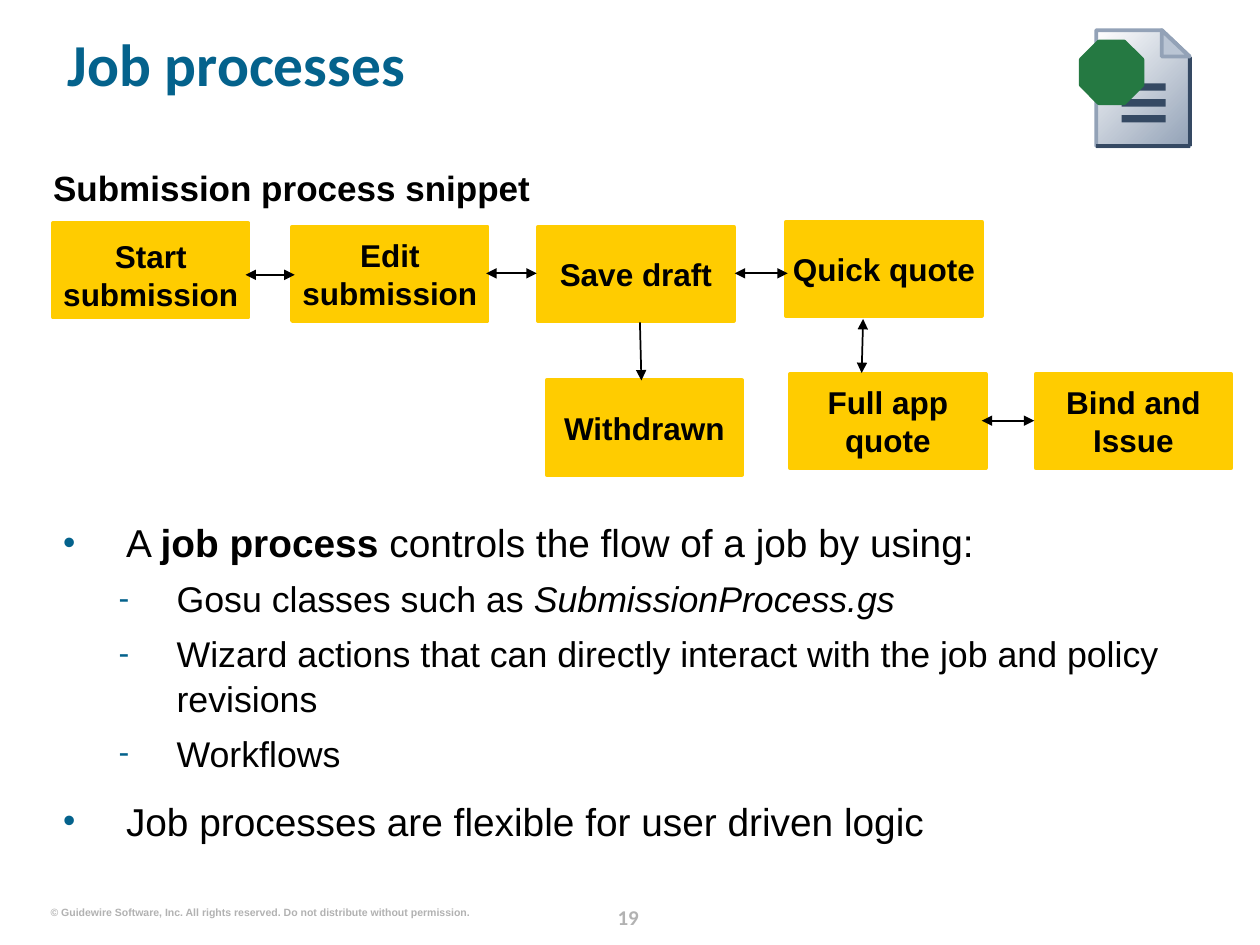
from lxml import etree
from pptx import Presentation
from pptx import util as u
from pptx.dml.color import RGBColor
from pptx.enum import shapes, text
from pptx.oxml import ns

BLUE = RGBColor(0x04, 0x62, 0x8C)
YELLOW = RGBColor(0xFF, 0xCC, 0x00)
BLACK = RGBColor(0x00, 0x00, 0x00)
WHITE = RGBColor(0xFF, 0xFF, 0xFF)
GREY = RGBColor(0xB2, 0xB2, 0xB2)
STEEL = RGBColor(0x93, 0xA2, 0xB7)
PALE = RGBColor(0xBA, 0xC5, 0xD4)
NAVY = RGBColor(0x35, 0x49, 0x63)
GREEN = RGBColor(0x25, 0x79, 0x42)

LEFT, CENTER = text.PP_ALIGN.LEFT, text.PP_ALIGN.CENTER
TOP, MIDDLE = text.MSO_ANCHOR.TOP, text.MSO_ANCHOR.MIDDLE


def add_text(p, content, size=18, font="Arial", color=BLACK, bold=False, italic=False):
    r = p.add_run()
    r.text = content
    f = r.font
    f.size, f.name, f.bold, f.italic = u.Pt(size), font, bold, italic
    f.color.rgb = color
    return r


def cm(*values):
    return [u.Cm(v) for v in values]


class Deck:
    box_w, box_h = 3.94, 1.9
    border = 2.25

    def __init__(self):
        self.prs = Presentation()
        self.prs.slide_width, self.prs.slide_height = cm(25.4, 19.05)
        self.s = self.prs.slides.add_slide(self.prs.slide_layouts[1])

    def frame(self, sp, anchor=TOP, wrap=True):
        tf = sp.text_frame
        tf.margin_left = tf.margin_right = tf.margin_top = tf.margin_bottom = 0
        tf.vertical_anchor, tf.word_wrap = anchor, wrap
        tf.auto_size = text.MSO_AUTO_SIZE.NONE
        return tf

    def place(self, sp, *at):
        sp.left, sp.top, sp.width, sp.height = cm(*at)

    def title(self, content, *at):
        sp = self.s.shapes.title
        self.place(sp, *at)
        p = self.frame(sp, MIDDLE).paragraphs[0]
        p.alignment, p.line_spacing = LEFT, 0.9
        add_text(p, content, size=34, font="Calibri", color=BLUE, bold=True)

    def bullets(self, items, *at):
        sp = self.s.placeholders[1]
        self.place(sp, *at)
        tf = self.frame(sp)
        styles = [("•", 1.27, -1.27, 22.2, 12), ("-", 2.29, -1.17, 20.4, 5.5)]
        for i, (level, runs) in enumerate(items):
            char, margin, indent, size, before = styles[level]
            p = tf.paragraphs[0] if i == 0 else tf.add_paragraph()
            self.bullet(p, char, margin, indent)
            p.level, p.line_spacing = level, 1.05
            p.space_before = u.Pt(before if i else 0)
            for content, style in runs:
                add_text(p, content, size=size, **style)

    def bullet(self, p, char, margin, indent):
        pPr = p._p.get_or_add_pPr()
        pPr.set("marL", str(u.Cm(margin)))
        pPr.set("indent", str(u.Cm(indent)))
        clr = etree.SubElement(pPr, ns.qn("a:buClr"))
        etree.SubElement(clr, ns.qn("a:srgbClr"), val=str(BLUE))
        etree.SubElement(pPr, ns.qn("a:buSzPct"), val="90000")
        etree.SubElement(pPr, ns.qn("a:buChar"), char=char)

    def label(self, content, *at, align=LEFT, wrap=False, spacing=None, **style):
        sp = self.s.shapes.add_textbox(*cm(*at))
        p = self.frame(sp, wrap=wrap).paragraphs[0]
        p.alignment, p.line_spacing = align, spacing
        add_text(p, content, **style)

    def paint(self, sp, fill, line=None):
        sp.shadow.inherit = False
        sp.fill.solid()
        sp.fill.fore_color.rgb = fill
        if line is None:
            sp.line.fill.background()
        else:
            sp.line.color.rgb, sp.line.width = line, u.Pt(self.border)

    def shape(self, kind, *at, fill, line=None):
        sp = self.s.shapes.add_shape(kind, *cm(*at))
        self.paint(sp, fill, line)
        return sp

    def step(self, content, x, y, drop=0):
        sp = self.shape(shapes.MSO_SHAPE.RECTANGLE, x, y, self.box_w, self.box_h,
                        fill=YELLOW, line=YELLOW)
        tf = self.frame(sp, MIDDLE)
        tf.margin_top = u.Cm(drop)
        p = tf.paragraphs[0]
        p.alignment = CENTER
        add_text(p, content, bold=True)

    def line(self, *ends, color=BLACK, width=1, heads=()):
        c = self.s.shapes.add_connector(shapes.MSO_CONNECTOR.STRAIGHT, *cm(*ends))
        c.line.color.rgb, c.line.width = color, u.Pt(width)
        for end in heads:
            etree.SubElement(c.line._get_or_add_ln(), ns.qn(f"a:{end}"), type="triangle")
        etree.SubElement(c._element.spPr, ns.qn("a:effectLst"))

    def outline(self, points, fill, line):
        start, *rest = [cm(*pt) for pt in points]
        fb = self.s.shapes.build_freeform(*start, scale=1.0)
        fb.add_line_segments(rest, close=True)
        sp = fb.convert_to_shape()
        self.paint(sp, fill, line)
        return sp

    def document_icon(self):
        left, right, top, bottom = 22.1, 23.98, 0.61, 2.95
        fold_x, fold_y = 23.42, 1.14
        page = self.outline([(left, bottom), (left, top), (fold_x, top),
                             (right, fold_y), (right, bottom)], WHITE, STEEL)
        page.fill.gradient()
        page.fill.gradient_angle = 315
        for stop, color, pos in zip(page.fill.gradient_stops, (WHITE, STEEL), (0, 1)):
            stop.color.rgb, stop.position = color, pos
        for ends in [(left, bottom, right, bottom), (right, bottom, right, fold_y)]:
            self.line(*ends, color=NAVY, width=self.border)
        self.outline([(fold_x, top), (fold_x, fold_y), (right, fold_y)], PALE, STEEL)
        for x, y in [(22.4, 1.68), (22.61, 2.0), (22.61, 2.32)]:
            self.shape(shapes.MSO_SHAPE.RECTANGLE, x, y, 23.5 - x, 0.15, fill=NAVY)
        self.shape(shapes.MSO_SHAPE.OCTAGON, 21.79, 0.84, 1.24, 1.24, fill=GREEN, line=GREEN)


def main():
    d = Deck()
    d.label("19", 11.94, 18.11, 1.45, 0.64, align=CENTER, wrap=True,
            spacing=u.Pt(18), size=12, font="Calibri", color=GREY, bold=True)
    d.label("© Guidewire Software, Inc. All rights reserved. Do not distribute without permission.",
            1.02, 18.26, 8.46, 0.25, size=6, color=GREY, bold=True)
    d.title("Job processes", 1.37, 0.33, 23.11, 2.06)
    d.bullets([
        (0, [("A ", {}), ("job process ", {"bold": True}),
             ("controls the flow of a job by using:", {})]),
        (1, [("Gosu classes such as ", {}), ("SubmissionProcess.gs", {"italic": True})]),
        (1, [("Wizard actions that can directly interact with the job and policy revisions", {})]),
        (1, [("Workflows", {})]),
        (0, [("Job processes are flexible for user driven logic", {})]),
    ], 1.27, 10.41, 22.53, 6.58)
    d.label("Submission process snippet", 1.07, 3.35, 9.63, 0.84, size=20, bold=True)

    d.step("Start submission", 1.07, 4.5, drop=0.18)
    for content, x, y in [
        ("Edit submission", 5.89, 4.57),
        ("Save draft", 10.85, 4.57),
        ("Quick quote", 15.85, 4.47),
        ("Withdrawn", 11.02, 7.67),
        ("Full app quote", 15.93, 7.54),
        ("Bind and Issue", 20.88, 7.54),
    ]:
        d.step(content, x, y)

    for ends in [
        (4.95, 5.54, 5.94, 5.54),
        (9.8, 5.51, 10.82, 5.51),
        (14.81, 5.51, 15.88, 5.51),
        (17.4, 6.43, 17.37, 7.52),
        (19.79, 8.48, 20.85, 8.48),
    ]:
        d.line(*ends, heads=("headEnd", "tailEnd"))
    d.line(12.9, 6.5, 12.93, 7.67, heads=("tailEnd",))
    d.document_icon()
    d.prs.save("out.pptx")


if __name__ == "__main__":
    main()
